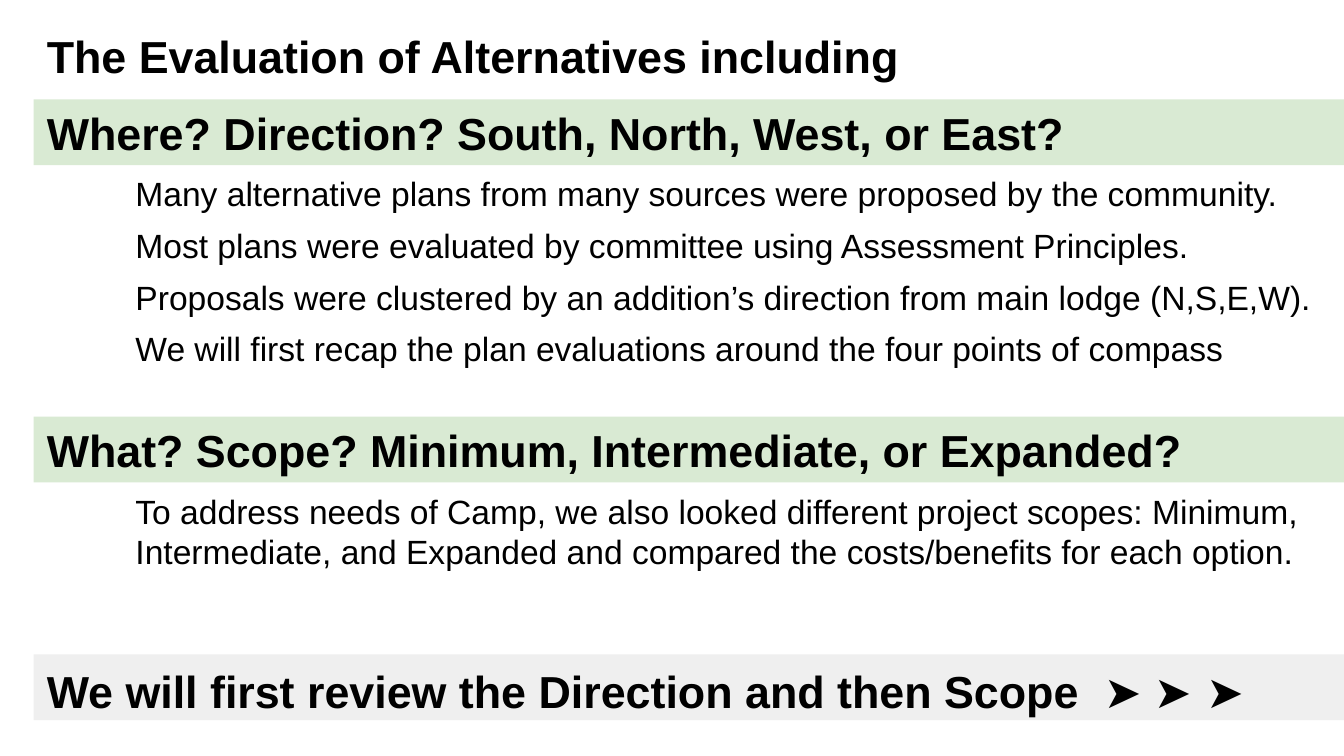
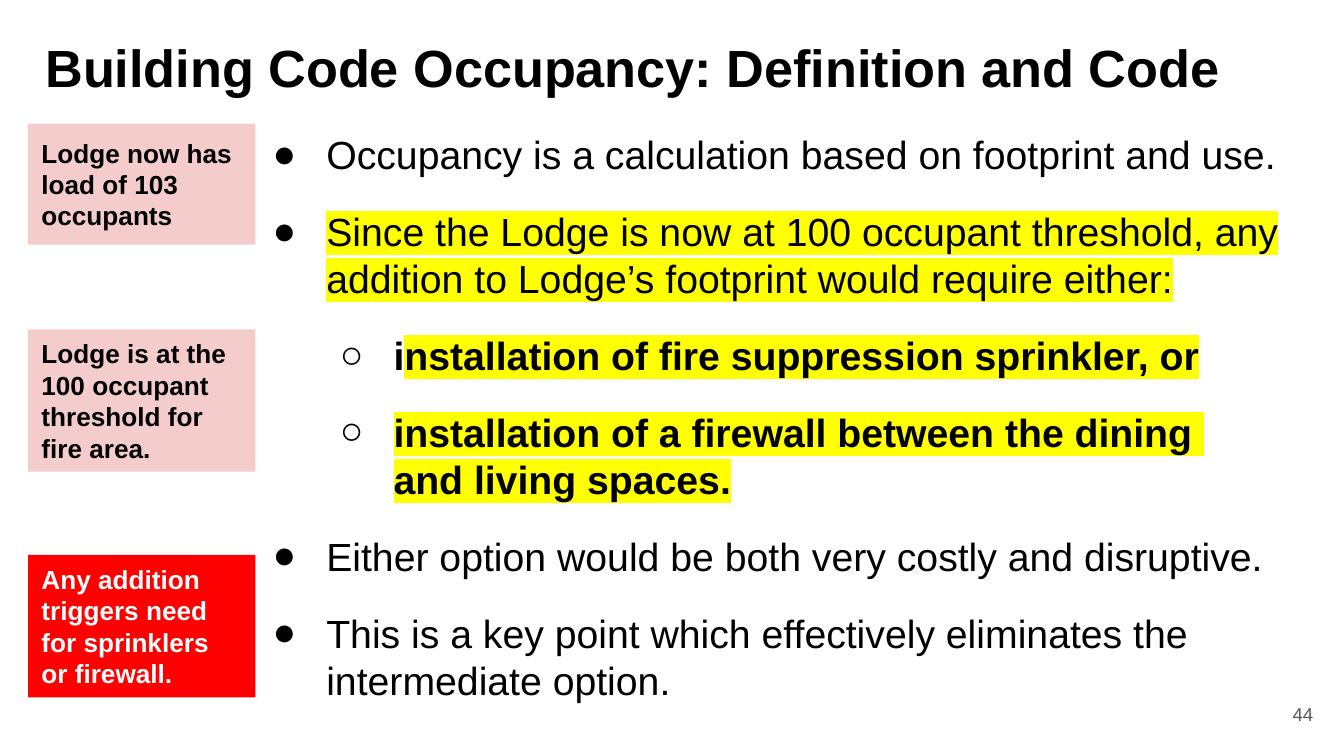
from dataclasses import dataclass

from lxml.etree import SubElement
from pptx import Presentation
from pptx.dml.color import RGBColor
from pptx.enum.shapes import MSO_SHAPE
from pptx.enum.text import MSO_ANCHOR, PP_ALIGN
from pptx.oxml.ns import qn
from pptx.util import Inches, Pt

SLIDE_WIDTH, SLIDE_HEIGHT = Inches(10), Inches(5.625)
COLUMN, ROW = SLIDE_WIDTH / 100, SLIDE_HEIGHT / 100  # grid of 100 by 100
BAND_ROWS = 8.71


@dataclass(frozen=True)
class Theme:
    font: str = "Arial"
    ink: str = "000000"
    light_ink: str = "FFFFFF"
    number_ink: str = "595959"
    section: str = "D9EAD3"
    closing: str = "EFEFEF"
    note: str = "F4CCCC"
    warning: str = "FF0000"
    marker: str = "FFFF00"
    title_size: int = 28
    heading_size: int = 24
    bullet_size: int = 21
    body_size: int = 18
    note_size: int = 14
    number_size: int = 10


THEME = Theme()


@dataclass(frozen=True)
class Box:
    """A region in grid columns and rows."""
    left: float
    top: float
    width: float
    height: float

    def inner(self, left, top, width, height):
        return Box(self.left + left, self.top + top, width, height)

    def lengths(self):
        return (round(self.left * COLUMN), round(self.top * ROW),
                round(self.width * COLUMN), round(self.height * ROW))


WHOLE = Box(0, 0, 100, 100)


# Text
def add_span(para, text, size, color=THEME.ink, bold=False, highlight=None):
    for index, line in enumerate(text.split("\n")):
        if index:
            para.add_line_break()
        span = para.add_run()
        span.text = line
        font = span.font
        font.size, font.bold = Pt(size), bold
        font.color.rgb = RGBColor.from_string(color)
        if highlight:
            mark = SubElement(font._element, qn("a:highlight"))
            SubElement(mark, qn("a:srgbClr"), val=highlight)
        font.name = THEME.font


def add_bullet(para, level):
    para.level = level
    properties = para._p.get_or_add_pPr()
    properties.set("marL", str(Inches(0.5 * (level + 1))))
    properties.set("indent", str(Inches(-0.4)))
    color = SubElement(properties, qn("a:buClr"))
    SubElement(color, qn("a:srgbClr"), val=THEME.ink)
    SubElement(properties, qn("a:buFont"), typeface=THEME.font)
    SubElement(properties, qn("a:buChar"), char="●○"[level])


def add_para(frame, spans, first, before=0, after=0, level=None,
             align=PP_ALIGN.LEFT, **style):
    """Spans are a string or a list of (text, own format) pairs."""
    para = frame.paragraphs[0] if first else frame.add_paragraph()
    if level is not None:
        add_bullet(para, level)
    para.alignment = align
    para.space_before, para.space_after = Pt(0 if first else before), Pt(after)
    for text, own in [(spans, {})] if isinstance(spans, str) else spans:
        add_span(para, text, **{**style, **own})


def add_text(page, box, paras, fill=None, anchor=MSO_ANCHOR.TOP, **style):
    """Paras are strings or (spans, own format) pairs."""
    if fill:
        shape = page.shapes.add_shape(MSO_SHAPE.RECTANGLE, *box.lengths())
        shape.shadow.inherit = False
        shape.fill.solid()
        shape.fill.fore_color.rgb = RGBColor.from_string(fill)
        shape.line.fill.background()
    else:
        shape = page.shapes.add_textbox(*box.lengths())
    frame = shape.text_frame
    frame.word_wrap, frame.vertical_anchor = True, anchor
    frame.margin_left = frame.margin_right = Inches(0.1)
    frame.margin_top = frame.margin_bottom = Inches(0.1)
    for index, para in enumerate(paras):
        spans, own = (para, {}) if isinstance(para, str) else para
        add_para(frame, spans, index == 0, **{**style, **own})


# Shared regions
def add_title(page, box, text, size):
    add_text(page, box, [text], size=size, bold=True)


def add_band(page, box, spans, fill):
    add_text(page, box, [(spans, {})], fill=fill, anchor=MSO_ANCHOR.MIDDLE,
             size=THEME.heading_size, bold=True)


def add_section(page, box, heading, lines):
    add_band(page, box.inner(0, 0, box.width, BAND_ROWS), heading, THEME.section)
    body = box.inner(6.6, 8, box.width - 5, box.height - 8)
    add_text(page, body, lines, size=THEME.body_size, before=6)


def add_note(page, box, text, fill, color):
    add_text(page, box, [text], fill=fill, anchor=MSO_ANCHOR.MIDDLE,
             size=THEME.note_size, color=color, bold=True)


def add_number(page, box, number):
    add_text(page, box, [str(number)], anchor=MSO_ANCHOR.MIDDLE,
             align=PP_ALIGN.RIGHT, size=THEME.number_size,
             color=THEME.number_ink)


# Slides
def build_alternatives(page, box):
    add_title(page, box.inner(2.5, 1.96, 100, BAND_ROWS),
              "The Evaluation of Alternatives including", THEME.heading_size)
    add_section(page, box.inner(2.5, 13.16, 100, 36.8),
                "Where? Direction? South, North, West, or East?", [
        "Many alternative plans from many sources were proposed by the community.",
        "Most plans were evaluated by committee using Assessment Principles.",
        "Proposals were clustered by an addition’s direction from main lodge (N,S,E,W).",
        "We will first recap the plan evaluations around the four points of compass",
    ])
    add_section(page, box.inner(2.5, 55.11, 100, 22.4),
                "What? Scope? Minimum, Intermediate, or Expanded?", [
        "To address needs of Camp, we also looked different project scopes: Minimum, "
        "Intermediate, and Expanded and compared the costs/benefits for each option.",
    ])
    add_band(page, box.inner(2.5, 86.58, 100, BAND_ROWS), [
        ("We will first review the Direction and then Scope  ➤ ➤", {}),
        (" ", {"size": THEME.title_size, "bold": False}),
        ("➤", {}),
    ], THEME.closing)


def build_occupancy(page, box):
    add_title(page, box.inner(2.4, 2.84, 100, 11.2),
              "Building Code Occupancy: Definition and Code", THEME.title_size)
    add_number(page, box.inner(92.7, 90.67, 6, 7.65), 44)

    # Bulleted argument
    marked = {"highlight": THEME.marker}
    option = {"level": 1, "bold": True}
    add_text(page, box.inner(18.3, 15.47, 80.3, 81.96), [
        "Occupancy is a calculation based on footprint and use.",
        ("Since the Lodge is now at 100 occupant threshold, any addition to "
         "Lodge’s footprint would require either:", marked),
        ([("i", {}), ("nstallation of fire suppression sprinkler, or", marked)],
         option),
        ("installation of a firewall between the dining \nand living spaces.",
         {**option, **marked}),
        "Either option would be both very costly and disruptive.",
        "This is a key point which effectively eliminates the intermediate option.",
    ], size=THEME.bullet_size, level=0, before=16)

    # Side notes
    for top, height, text, fill, color in [
        (16.36, 16, "Lodge now has load of 103 occupants", THEME.note, THEME.ink),
        (43.56, 18.84, "Lodge is at the 100 occupant threshold for fire area.",
         THEME.note, THEME.ink),
        (73.42, 18.84, "Any addition triggers need for sprinklers or firewall.",
         THEME.warning, THEME.light_ink),
    ]:
        add_note(page, box.inner(2.1, top, 16.9, height), text, fill, color)


def main():
    deck = Presentation()
    deck.slide_width, deck.slide_height = SLIDE_WIDTH, SLIDE_HEIGHT
    for build in (build_alternatives, build_occupancy):
        build(deck.slides.add_slide(deck.slide_layouts[6]), WHOLE)
    deck.save("out.pptx")


if __name__ == "__main__":
    main()
